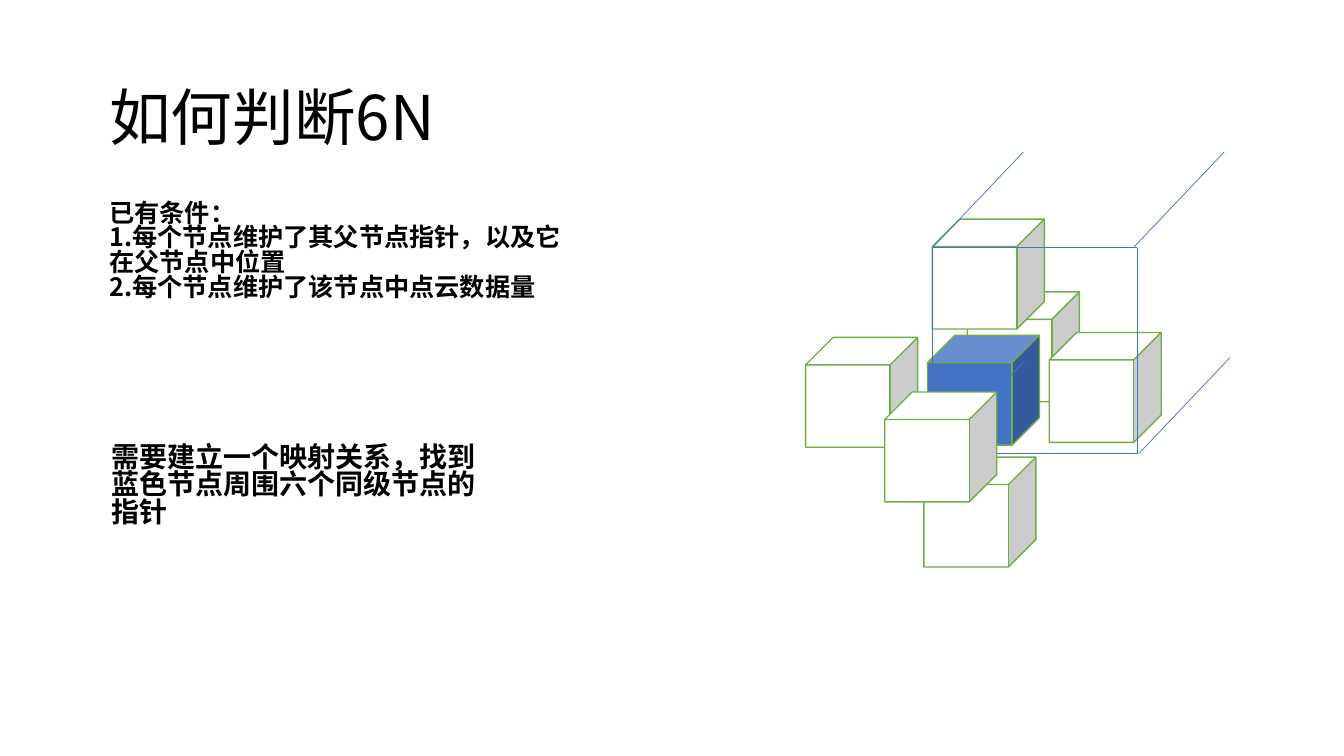
from lxml import etree
from pptx import Presentation
from pptx.dml.color import RGBColor
from pptx.enum.shapes import MSO_CONNECTOR, MSO_SHAPE
from pptx.oxml.ns import qn
from pptx.util import Pt

BLACK = RGBColor(0, 0, 0)
WHITE = RGBColor(255, 255, 255)
BLUE = RGBColor(0x44, 0x72, 0xC4)
GREEN = RGBColor(0x70, 0xAD, 0x47)
CUBE = MSO_SHAPE.CUBE
LINE = MSO_CONNECTOR.STRAIGHT
FONT = "Noto Sans CJK SC"


class Deck:
    """Draws text, cubes and lines in one style on the current slide."""

    def __init__(self, slide):
        self.slide = slide
        self.shapes = slide.shapes

    def text(self, x, y, w, h, size, words, bold=False):
        box = self.shapes.add_textbox(Pt(x), Pt(y), Pt(w), Pt(h))
        frame = box.text_frame
        frame.word_wrap = True
        frame.text = words
        for para in frame.paragraphs:
            para.line_spacing = 0.82
            for run in para.runs:
                font = run.font
                font.name = FONT
                font.size = Pt(size)
                font.bold = bold
                font.color.rgb = BLACK
                props = run._r.get_or_add_rPr()
                props.set("lang", "zh-CN")
                etree.SubElement(props, qn("a:ea")).set("typeface", FONT)

    def cube(self, x, y, fill=WHITE):
        cube = self.shapes.add_shape(CUBE, Pt(x), Pt(y), Pt(80), Pt(78.5))
        cube.shadow.inherit = False
        cube.fill.solid()
        cube.fill.fore_color.rgb = fill
        cube.line.color.rgb = GREEN
        cube.line.width = Pt(1)

    def line(self, x1, y1, x2, y2):
        line = self.shapes.add_connector(LINE, Pt(x1), Pt(y1), Pt(x2), Pt(y2))
        line.line.color.rgb = BLUE
        line.line.width = Pt(0.5)
        etree.SubElement(line._element.spPr, qn("a:effectLst"))


def main():
    prs = Presentation()
    prs.slide_width, prs.slide_height = Pt(960), Pt(540)
    deck = Deck(prs.slides.add_slide(prs.slide_layouts[6]))

    deck.text(71, 62, 480, 60.5, 44, "如何判断6N")
    deck.text(71, 141, 337, 94.5, 18,
              "已有条件：\n"
              "1.每个节点维护了其父节点指针，以及它在父节点中位置\n"
              "2.每个节点维护了该节点中点云数据量", True)

    deck.cube(660, 326.5)
    deck.cube(691, 208.5)
    deck.cube(662.5, 239.5, BLUE)
    for x, y in ((749.5, 237.5), (666, 156.5), (575.5, 241)):
        deck.cube(x, y)

    left, top, right, low = 666, 177, 812.5, 324
    deck.line(left, top, right, top)
    deck.line(left, top, left, low)
    deck.line(right, top, right, low)
    deck.line(right, low, left, low)
    for x, y in ((left, top), (809.5, top), (813.5, low), (667, 326)):
        deck.line(x, y, x + 65, y - 68.5)

    deck.cube(632, 280)
    deck.text(72.5, 314.5, 276.5, 80, 20,
              "需要建立一个映射关系，找到蓝色节点周围六个同级节点的指针", True)
    prs.save("out.pptx")


if __name__ == "__main__":
    main()
